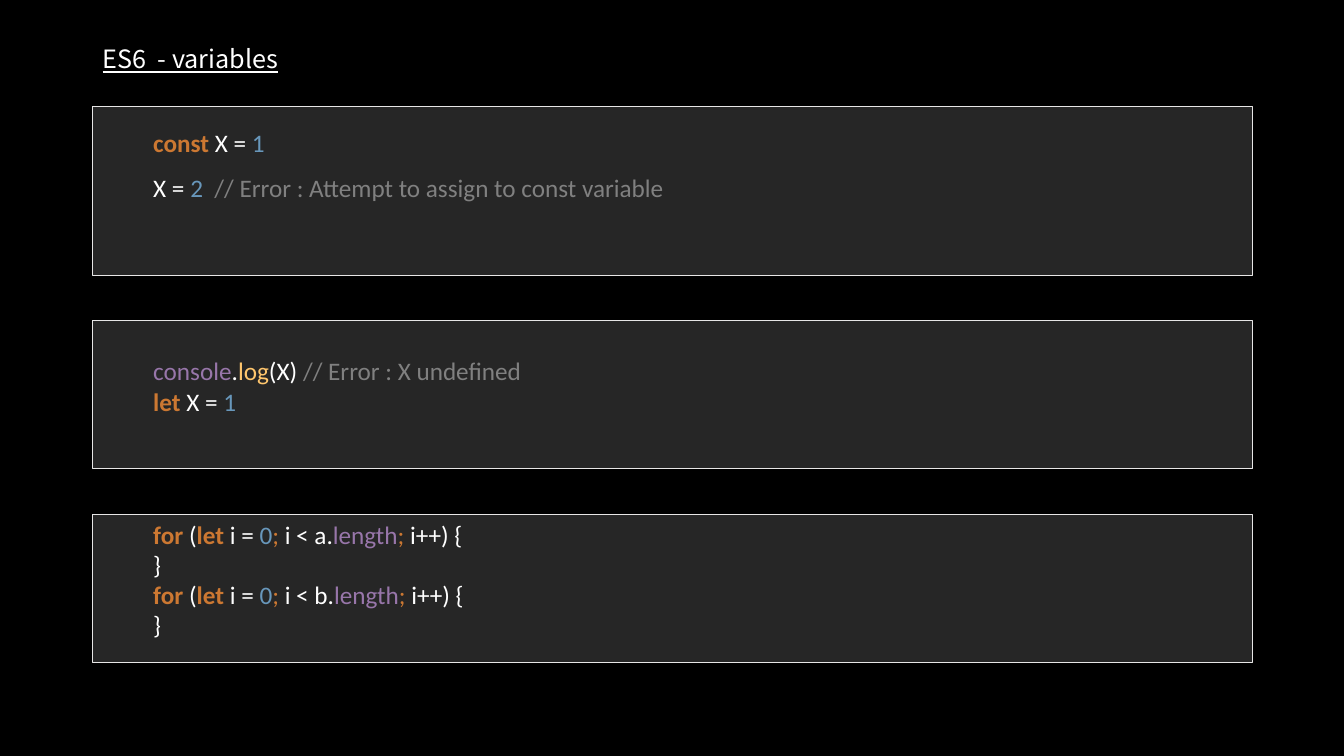
import pptx
import pptx.dml.color
import pptx.enum.shapes
import pptx.enum.text
import pptx.util

Inches = pptx.util.Inches

THEME = {
    "size": 18,
    "title_font": "Noto Sans CJK SC",
    "code_font": "Calibri",
    "background": "000000",
    "panel": "262626",
    "border": "E7E6E6",
    "plain": "FFFFFF",
    "keyword": "CC7832",
    "semicolon": "CC7832",
    "number": "6897BB",
    "comment": "808080",
    "property": "9876AA",
    "method": "FFC66D",
}


def color(role):
    return pptx.dml.color.RGBColor.from_string(THEME[role])


def add_text(paragraph, text, *, role="plain", font="code_font", bold=False, underline=False):
    run = paragraph.add_run()
    run.text = text
    run.font.name = THEME[font]
    run.font.size = pptx.util.Pt(THEME["size"])
    run.font.color.rgb = color(role)
    run.font.bold = bold
    run.font.underline = underline


presentation = pptx.Presentation()
presentation.slide_width = Inches(13.33)
presentation.slide_height = Inches(7.5)
slide = presentation.slides.add_slide(presentation.slide_layouts[6])
slide.background.fill.solid()
slide.background.fill.fore_color.rgb = color("background")

MARGIN = 0.92
PANEL_WIDTH = 11.5
PANEL_GAP = 0.45
CODE_INSET = 0.6
LINE_HEIGHT = 0.3

title = slide.shapes.add_textbox(Inches(MARGIN), Inches(0.41), Inches(8), Inches(0.37))
title.text_frame.word_wrap = True
title.text_frame.vertical_anchor = pptx.enum.text.MSO_ANCHOR.MIDDLE
title_paragraph = title.text_frame.paragraphs[0]
title_paragraph.line_spacing = 0.9
add_text(title_paragraph, "ES6  - variables", font="title_font", underline=True)

const_lines = [
    [("const ", "keyword"), ("X = ", "plain"), ("1", "number")],
    [("X = ", "plain"), ("2  ", "number"),
     ("// Error : Attempt to assign to const variable", "comment")],
]
let_lines = [
    [("console", "property"), (".", "plain"), ("log", "method"), ("(X) ", "plain"),
     ("// Error : X undefined", "comment")],
    [("let ", "keyword"), ("X = ", "plain"), ("1", "number")],
]
loop_lines = []
for array in "ab":
    loop_lines += [
        [("for ", "keyword"), ("(", "plain"), ("let ", "keyword"), ("i = ", "plain"),
         ("0", "number"), ("; ", "semicolon"), (f"i < {array}.", "plain"),
         ("length", "property"), ("; ", "semicolon"), ("i++) {", "plain")],
        [("}", "plain")],
    ]

# height, line spacing, lines left free above the code, code
panels = [
    (1.67, 1.5, 0, const_lines),
    (1.47, 1.0, 1, let_lines),
    (1.47, 1.0, 0, loop_lines),
]

top = 1.06
for height, line_spacing, free_lines, code_lines in panels:
    panel = slide.shapes.add_shape(
        pptx.enum.shapes.MSO_SHAPE.RECTANGLE,
        Inches(MARGIN), Inches(top), Inches(PANEL_WIDTH), Inches(height))
    panel.shadow.inherit = False
    panel.fill.solid()
    panel.fill.fore_color.rgb = color("panel")
    panel.line.color.rgb = color("border")
    panel.line.width = pptx.util.Pt(0.75)

    frame = panel.text_frame
    frame.word_wrap = True
    frame.vertical_anchor = pptx.enum.text.MSO_ANCHOR.TOP
    frame.margin_left = Inches(CODE_INSET)
    frame.margin_top = Inches(0.05 + free_lines * LINE_HEIGHT)
    paragraph = frame.paragraphs[0]
    paragraph.alignment = pptx.enum.text.PP_ALIGN.LEFT
    paragraph.line_spacing = line_spacing
    for index, tokens in enumerate(code_lines):
        if index:
            paragraph.add_line_break()
        for text, role in tokens:
            add_text(paragraph, text, role=role, bold=role == "keyword")
    top += height + PANEL_GAP

presentation.save("out.pptx")
